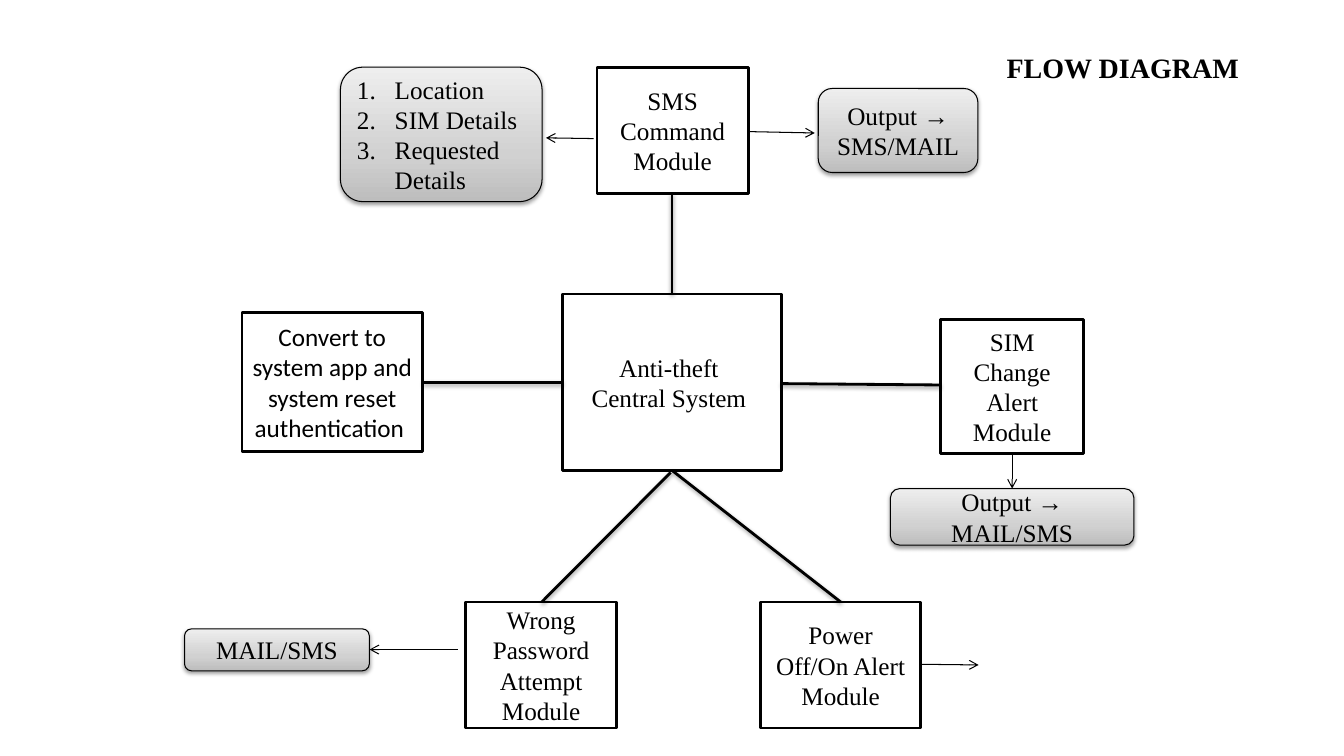
from copy import deepcopy
from typing import NamedTuple

from lxml.etree import SubElement as Sub
from pptx import Presentation
from pptx.dml.color import RGBColor
from pptx.enum.shapes import MSO_CONNECTOR as Link, MSO_SHAPE as Form
from pptx.enum.text import MSO_ANCHOR as Anchor, PP_ALIGN as Align
from pptx.oxml.ns import qn
from pptx.util import Pt

SERIF = "Times New Roman"
BLACK, WHITE = "000000", "FFFFFF"
GRADES = [(0, "BDBDBD"), (0.35, "D1D1D1"), (1, "EEEEEE")]


class Box(NamedTuple):
    left: float
    top: float
    width: float
    height: float
    lines: list[str]
    font: str = SERIF
    listed: bool = False


class Line(NamedTuple):
    x1: float
    y1: float
    x2: float
    y2: float


MODULES = [
    Box(426.5, 48, 108, 90, ["SMS Command Module"]),
    Box(402, 210, 156, 126, ["Anti-theft ", "Central System "]),
    Box(672, 228, 102, 96, ["SIM", "Change Alert Module"]),
    Box(543.5, 430, 114, 90, ["Power Off/On Alert Module"]),
    Box(332.5, 430, 108, 90, ["Wrong Password Attempt Module"]),
    Box(172.8, 223.2, 129, 99.2,
        ["Convert to system app and system reset authentication "], "Calibri"),
]
OUTPUTS = [
    Box(584.5, 63.2, 114, 60, ["Output → SMS/MAIL"]),
    Box(636, 349, 174, 40.4, ["Output → MAIL/SMS"]),
    Box(243.2, 48, 144, 96, ["Location", "SIM Details", "Requested Details"],
        listed=True),
    Box(131.8, 449.2, 132, 30, ["MAIL/SMS"]),
]
SPOKES = [
    Line(480, 138, 480, 210),
    Line(558, 274, 672, 275),
    Line(402, 273, 302, 273),
    Line(480, 336, 600.5, 430),
    Line(479, 337.5, 387, 430),
]
ARROWS = [
    Line(534.5, 94, 582, 95),
    Line(723, 324, 723, 349),
    Line(424, 99, 390, 98.5),
    Line(327, 464, 264, 464),
    Line(658, 474.5, 699, 475),
]


def hue(code: str) -> RGBColor:
    return RGBColor.from_string(code)


def cast(effects) -> None:
    """Give an effect list a soft shadow straight below."""
    shade = Sub(effects, qn("a:outerShdw"), blurRad=str(Pt(3.1)),
                dist=str(Pt(1.6)), dir="5400000", rotWithShape="0")
    tone = Sub(shade, qn("a:srgbClr"), val=BLACK)
    Sub(tone, qn("a:alpha"), val="38000")


def add_run(para, text: str, font: str, size: float, bold: bool = False) -> None:
    run = para.add_run()
    run.text = text
    run.font.name, run.font.size, run.font.bold = font, Pt(size), bold
    run.font.color.rgb = hue(BLACK)


def shade_fill(shape) -> None:
    """Grade the fill from dark at the bottom to light at the top."""
    shape.fill.gradient()
    shape.fill.gradient_angle = 90
    stops = next(shape.element.iter(qn("a:gsLst")))
    stops.insert(1, deepcopy(stops[0]))
    for stop, (place, code) in zip(shape.fill.gradient_stops, GRADES):
        stop.position, stop.color.rgb = place, hue(code)


def draw_box(slide, box: Box, output: bool) -> None:
    form = Form.ROUNDED_RECTANGLE if output else Form.RECTANGLE
    shape = slide.shapes.add_shape(
        form, Pt(box.left), Pt(box.top), Pt(box.width), Pt(box.height))
    shape.shadow.inherit = False
    if output:
        shade_fill(shape)
        cast(shape.element.spPr.find(qn("a:effectLst")))
    else:
        shape.fill.solid()
        shape.fill.fore_color.rgb = hue(WHITE)
    shape.line.color.rgb = hue(BLACK)
    shape.line.width = Pt(0.75 if output else 2)

    frame = shape.text_frame
    frame.word_wrap, frame.vertical_anchor = True, Anchor.MIDDLE
    for rank, text in enumerate(box.lines):
        para = frame.add_paragraph() if rank else frame.paragraphs[0]
        para.alignment = Align.LEFT if box.listed else Align.CENTER
        if box.listed:
            props = para._p.get_or_add_pPr()
            props.set("marL", str(Pt(27)))
            props.set("indent", str(Pt(-27)))
            Sub(props, qn("a:buAutoNum"), type="arabicPeriod")
        add_run(para, text, box.font, 18)


def draw_line(slide, line: Line, arrow: bool) -> None:
    link = slide.shapes.add_connector(Link.STRAIGHT, *map(Pt, line))
    link.line.color.rgb = hue(BLACK)
    link.line.width = Pt(0.75 if arrow else 2)
    props = link.element.spPr
    effects = Sub(props, qn("a:effectLst"))
    if arrow:
        Sub(props.find(qn("a:ln")), qn("a:tailEnd"), type="arrow")
    else:
        cast(effects)


deck = Presentation()
deck.slide_width, deck.slide_height = Pt(960), Pt(540)
slide = deck.slides.add_slide(deck.slide_layouts[6])

# Modules, then the lines from the central system
for box in MODULES:
    draw_box(slide, box, output=False)
for line in SPOKES:
    draw_line(slide, line, arrow=False)

# Outputs and the arrows that lead to them
for box in OUTPUTS:
    draw_box(slide, box, output=True)
for line in ARROWS:
    draw_line(slide, line, arrow=True)

# Title
title = slide.shapes.add_textbox(Pt(702), Pt(32.5), Pt(200), Pt(31.5))
title.text_frame.word_wrap = True
head = title.text_frame.paragraphs[0]
head.alignment = Align.CENTER
add_run(head, "FLOW DIAGRAM", SERIF, 20, bold=True)

deck.save("out.pptx")
